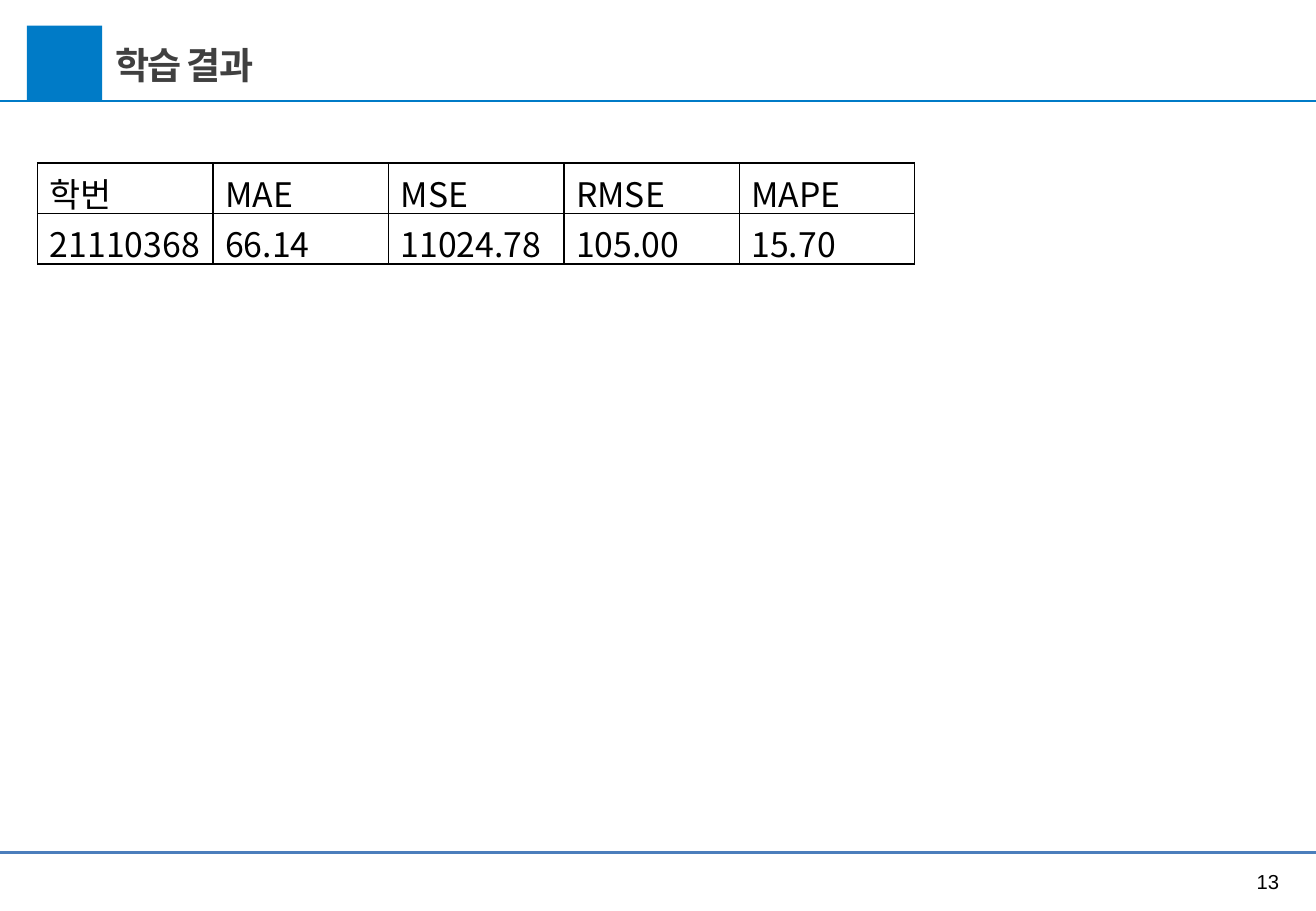
from lxml import etree
from pptx import Presentation
from pptx.dml.color import RGBColor
from pptx.enum.shapes import MSO_CONNECTOR, MSO_SHAPE
from pptx.enum.text import MSO_ANCHOR, PP_ALIGN
from pptx.oxml.ns import qn
from pptx.util import Pt

STRAIGHT = MSO_CONNECTOR.STRAIGHT
RECTANGLE = MSO_SHAPE.RECTANGLE
MIDDLE = MSO_ANCHOR.MIDDLE
LEFT, CENTER = PP_ALIGN.LEFT, PP_ALIGN.CENTER

BLUE = RGBColor(0x00, 0x7B, 0xC7)
FOOTER_BLUE = RGBColor(0x4B, 0x7E, 0xBC)
DARK_GRAY = RGBColor(0x40, 0x40, 0x40)
BLACK = RGBColor(0, 0, 0)
WHITE = RGBColor(255, 255, 255)
KOREAN_FONT = "Noto Sans CJK KR"
NUMBER_FONT = "Arial"
PAGE_WIDTH, PAGE_HEIGHT = 780, 540

RESULTS = [
    ["학번", "MAE", "MSE", "RMSE", "MAPE"],
    ["21110368", "66.14", "11024.78", "105.00", "15.70"],
]


def add_span(para, text, size, color, font=KOREAN_FONT, bold=False):
    span = para.add_run()
    span.text = text
    span.font.size = Pt(size)
    span.font.bold = bold
    span.font.color.rgb = color
    span.font.name = font
    properties = span.font._element
    etree.SubElement(properties, qn("a:ea"), typeface=font)
    return span


def add_rule(page, left, top, width, color, weight):
    rule = page.shapes.add_connector(
        STRAIGHT, Pt(left), Pt(top), Pt(left + width), Pt(top))
    rule.line.color.rgb = color
    rule.line.width = Pt(weight)
    etree.SubElement(rule._element.spPr, qn("a:effectLst"))


def add_header(page, left, top, width, height):
    # Rule along the bottom, with the blue square standing on it
    add_rule(page, left, top + height, width, BLUE, 1.25)
    side = 44.6
    square = page.shapes.add_shape(
        RECTANGLE, Pt(left + 16), Pt(top + height - side), Pt(side), Pt(side))
    square.shadow.inherit = False
    square.fill.solid()
    square.fill.fore_color.rgb = BLUE
    square.line.fill.background()

    # Title
    box = page.shapes.add_textbox(
        Pt(left + 68.4), Pt(top + 25.2), Pt(543), Pt(26.6))
    frame = box.text_frame
    frame.word_wrap = True
    frame.vertical_anchor = MIDDLE
    frame.margin_left = frame.margin_right = 0
    frame.margin_top = frame.margin_bottom = 0
    para = frame.paragraphs[0]
    para.alignment = LEFT
    span = add_span(para, "학습 결과", 22, DARK_GRAY, bold=True)
    span.font._element.set("spc", "-100")


def add_footer(page, left, top, width, height, number):
    add_rule(page, left, top, width, FOOTER_BLUE, 1.5)

    # Page number in the right corner
    number_width = 57
    box = page.shapes.add_textbox(
        Pt(left + width - number_width), Pt(top + 6.5),
        Pt(number_width), Pt(height - 6.5))
    box.text_frame.word_wrap = True
    para = box.text_frame.paragraphs[0]
    para.alignment = CENTER
    add_span(para, number, 12, BLACK, NUMBER_FONT)


def add_cell_borders(cell, color, weight):
    properties = cell._tc.get_or_add_tcPr()
    for index, side in enumerate(("a:lnL", "a:lnR", "a:lnT", "a:lnB")):
        border = etree.Element(qn(side), w=str(Pt(weight)))
        fill = etree.SubElement(border, qn("a:solidFill"))
        etree.SubElement(fill, qn("a:srgbClr"), val=str(color))
        properties.insert(index, border)


def add_results_table(page, left, top, width, height, rows):
    row_count, column_count = len(rows), len(rows[0])
    table = page.shapes.add_table(
        row_count, column_count, Pt(left), Pt(top), Pt(width), Pt(height)).table
    table.first_row = table.horz_banding = False
    for column in table.columns:
        column.width = Pt(width / column_count)
    for row, values in zip(table.rows, rows):
        row.height = Pt(height / row_count)
        for cell, value in zip(row.cells, values):
            cell.fill.solid()
            cell.fill.fore_color.rgb = WHITE
            cell.margin_top, cell.margin_bottom = Pt(3), 0
            add_span(cell.text_frame.paragraphs[0], value, 20, BLACK)
            add_cell_borders(cell, BLACK, 1)


def main():
    deck = Presentation()
    deck.slide_width, deck.slide_height = Pt(PAGE_WIDTH), Pt(PAGE_HEIGHT)
    page = deck.slides.add_slide(deck.slide_layouts[6])
    add_header(page, 0, 0, PAGE_WIDTH, 59.8)
    add_footer(page, 0, 505.4, PAGE_WIDTH, PAGE_HEIGHT - 505.4, "13")
    add_results_table(page, 22.3, 96.5, 520, 60, RESULTS)
    deck.save("out.pptx")


if __name__ == "__main__":
    main()
